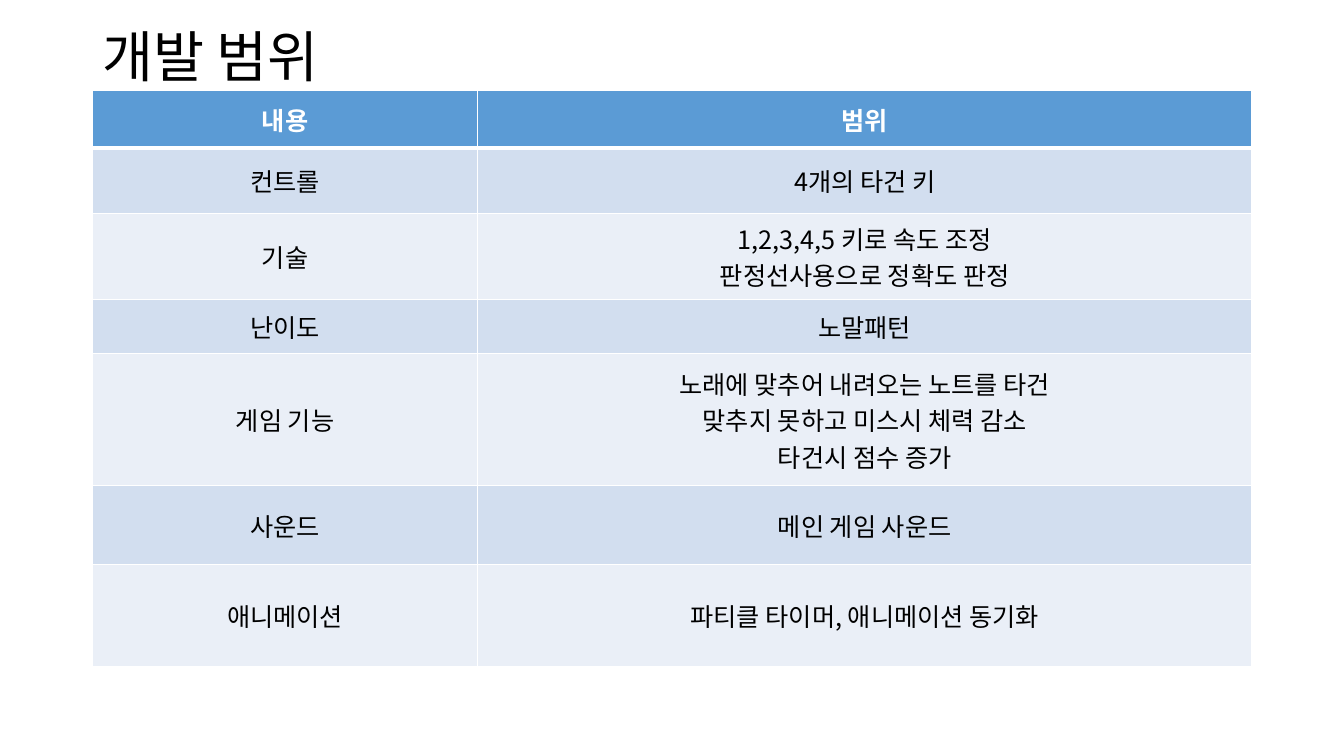
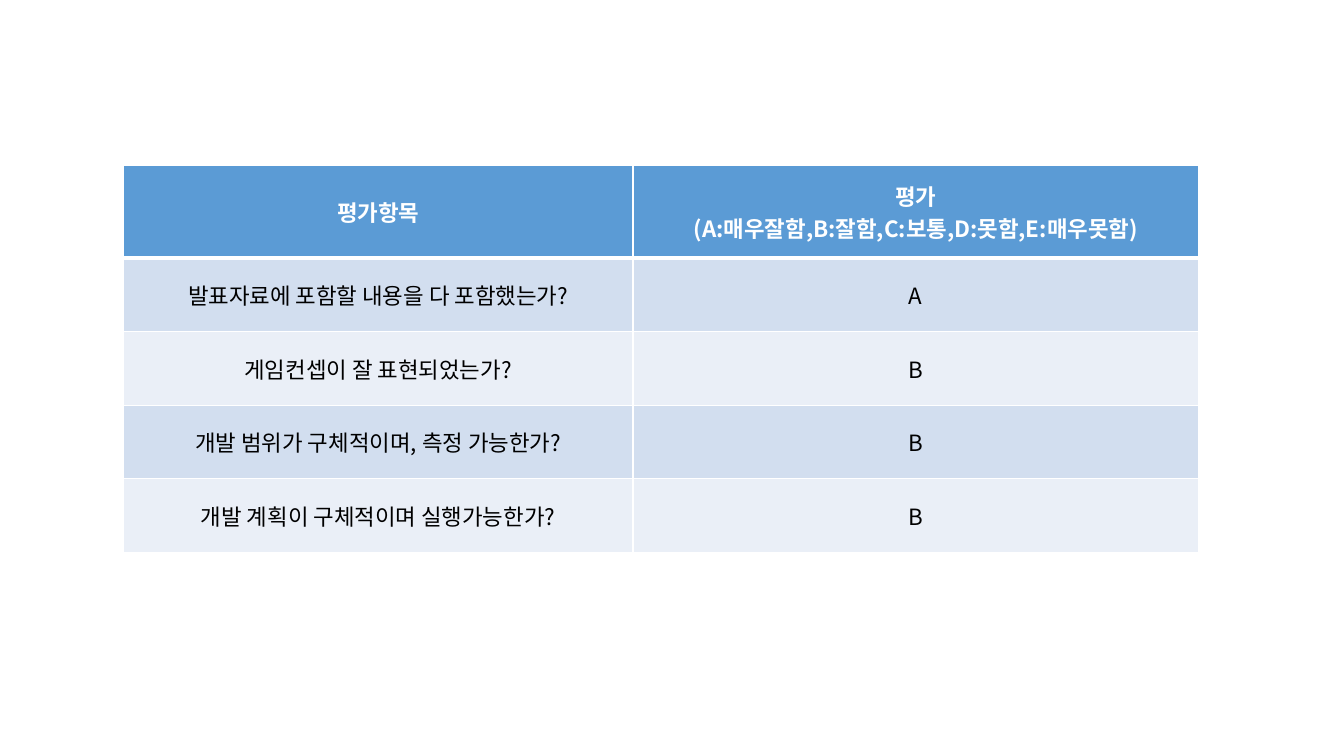
from lxml import etree
from pptx import Presentation
from pptx import util as u
from pptx.dml import color
from pptx.enum import text
from pptx.oxml import ns

FONT = "Noto Sans CJK KR"
BLACK, WHITE, HEADER = "000000", "FFFFFF", "5B9BD5"
BANDS = ("D2DEEF", "EAEFF7")


def rgb(value):
    return color.RGBColor.from_string(value)


class Deck:
    def __init__(self, width, height):
        self.prs = Presentation()
        self.prs.slide_width, self.prs.slide_height = u.Pt(width), u.Pt(height)

    def new_slide(self):
        self.s = self.prs.slides.add_slide(self.prs.slide_layouts[6])

    def set_text(self, tf, lines, size, colour, bold=False, align=text.PP_ALIGN.LEFT):
        tf.text = lines
        for p in tf.paragraphs:
            p.alignment = align
            p.font.name, p.font.size, p.font.bold = FONT, u.Pt(size), bold
            p.font.color.rgb = rgb(colour)
            # Korean glyphs take the East Asian font
            props = p._p.get_or_add_pPr().get_or_add_defRPr()
            etree.SubElement(props, ns.qn("a:ea"), typeface=FONT)

    def title(self, words, left, top, width, height):
        sp = self.s.shapes.add_textbox(*map(u.Pt, (left, top, width, height)))
        tf = sp.text_frame
        tf.word_wrap = True
        tf.vertical_anchor = text.MSO_ANCHOR.MIDDLE
        self.set_text(tf, words, 39.6, BLACK)
        tf.paragraphs[0].line_spacing = 0.9

    def borders(self, cell, top, bottom):
        tc_pr = cell._tc.get_or_add_tcPr()
        sides = {"lnL": 1, "lnR": 1, "lnT": top, "lnB": bottom}
        for i, (side, points) in enumerate(sides.items()):
            ln = etree.Element(ns.qn("a:" + side), w=str(u.Pt(points)))
            fill = etree.SubElement(ln, ns.qn("a:solidFill"))
            etree.SubElement(fill, ns.qn("a:srgbClr"), val=WHITE)
            tc_pr.insert(i, ln)

    def table(self, left, top, widths, heights, size, rows):
        frame = self.s.shapes.add_table(
            len(rows), len(widths),
            *map(u.Pt, (left, top, sum(widths), sum(heights))))
        tbl = frame.table
        for col, width in zip(tbl.columns, widths):
            col.width = u.Pt(width)
        for i, (row, height) in enumerate(zip(rows, heights)):
            tbl.rows[i].height = u.Pt(height)
            head = i == 0
            for j, words in enumerate(row):
                cell = tbl.cell(i, j)
                cell.vertical_anchor = text.MSO_ANCHOR.MIDDLE
                cell.fill.solid()
                cell.fill.fore_color.rgb = rgb(HEADER if head else BANDS[(i - 1) % 2])
                # The rule under the header is thicker
                self.borders(cell, 3 if i == 1 else 1, 3 if head else 1)
                self.set_text(cell.text_frame, words, size, WHITE if head else BLACK,
                              head, text.PP_ALIGN.CENTER)


deck = Deck(960, 540)

# Development scope
deck.new_slide()
deck.title("개발 범위", 66, 28.8, 828, 27.4)
deck.table(66.2, 64.4, (275, 553), (41.4, 46.8, 61.2, 38.9, 94.3, 56.2, 72.7), 18, [
    ("내용", "범위"),
    ("컨트롤", "4개의 타건 키"),
    ("기술", "1,2,3,4,5 키로 속도 조정\n판정선사용으로 정확도 판정"),
    ("난이도", "노말패턴"),
    ("게임 기능", "노래에 맞추어 내려오는 노트를 타건\n"
                  "맞추지 못하고 미스시 체력 감소\n타건시 점수 증가"),
    ("사운드", "메인 게임 사운드"),
    ("애니메이션", "파티클 타이머, 애니메이션 동기화"),
])

# Self-evaluation
deck.new_slide()
deck.table(88, 118.2, (364.2, 403.8), (66.2,) + (52.5,) * 4, 16, [
    ("평가항목", "평가\n(A:매우잘함,B:잘함,C:보통,D:못함,E:매우못함)"),
    ("발표자료에 포함할 내용을 다 포함했는가?", "A"),
    ("게임컨셉이 잘 표현되었는가?", "B"),
    ("개발 범위가 구체적이며, 측정 가능한가?", "B"),
    ("개발 계획이 구체적이며 실행가능한가?", "B"),
])

deck.prs.save("out.pptx")
